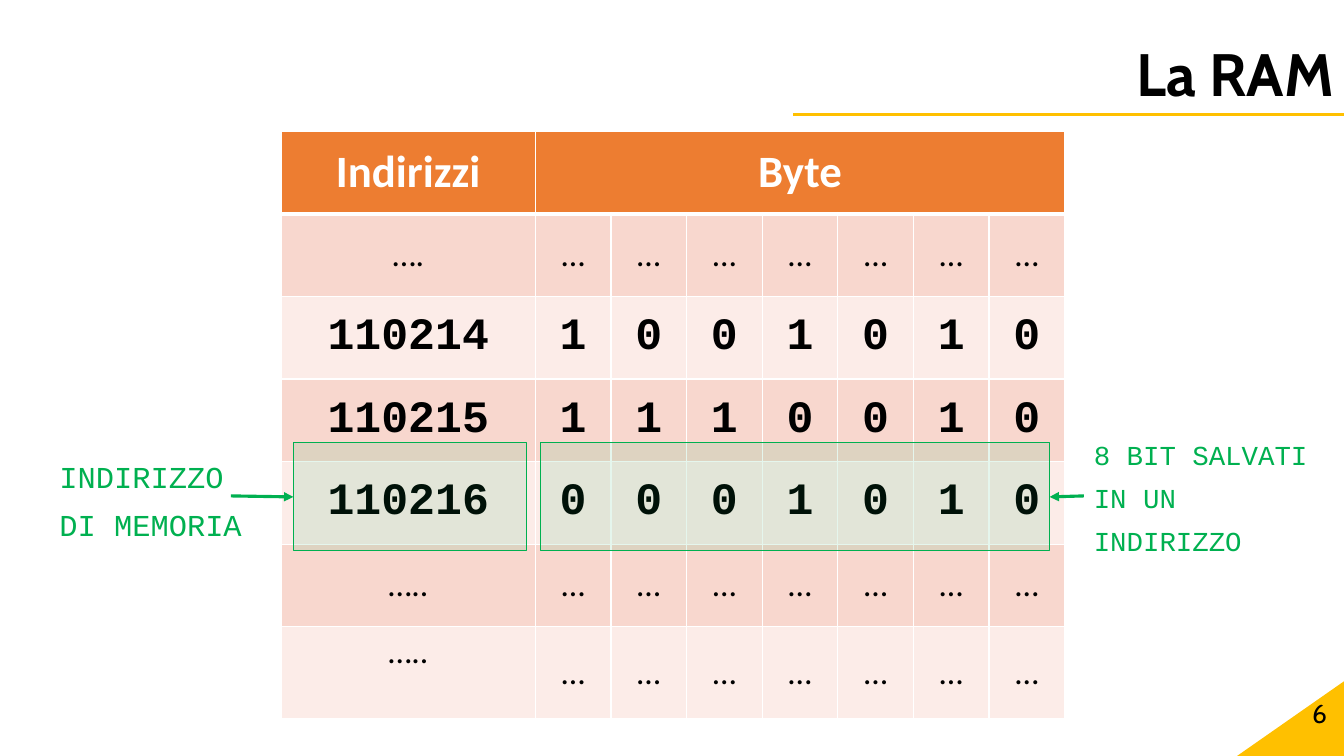
from lxml.etree import SubElement
from pptx import Presentation
from pptx.dml.color import RGBColor
from pptx.enum.shapes import MSO_CONNECTOR as Connector, MSO_SHAPE as Shape
from pptx.enum.text import MSO_ANCHOR as Anchor, PP_ALIGN as Align
from pptx.oxml.ns import qn
from pptx.util import Pt

PX = 9144
GREEN, AMBER, ORANGE = "00B050", "FFC000", "ED7D31"
BLACK, WHITE = "000000", "FFFFFF"
BANDS = ("F8D7CE", "FCECE8")
DOTS = ["…"] * 7
MEMORY = [
    ["….", *DOTS],
    ["110214", *"1001010"],
    ["110215", *"1110010"],
    ["110216", *"0001010"],
    ["…..", *DOTS],
    ["…..", *DOTS],
]


def px(*lengths):
    """Turn whole pixels into EMU."""
    return [length * PX for length in lengths]


def paint(color_format, color):
    """Apply a hex colour to a fill or a font."""
    if hasattr(color_format, "solid"):
        color_format.solid()
        color_format.fore_color.rgb = RGBColor.from_string(color)
    else:
        color_format.color.rgb = RGBColor.from_string(color)


def write(frame, text, size, font="Calibri", color=BLACK, bold=False,
          align=Align.LEFT, spacing=None, before=None):
    """Put one formatted paragraph into a text frame."""
    paragraph = frame.paragraphs[0]
    paragraph.alignment = align
    if spacing:
        paragraph.line_spacing = spacing
    if before:
        paragraph.space_before = Pt(before)
    run = paragraph.add_run()
    run.text = text
    run.font.name, run.font.size, run.font.bold = font, Pt(size), bold
    paint(run.font, color)


def add_text(slide, box, text, size, anchor=Anchor.TOP, **style):
    """Add a wrapping text box."""
    frame = slide.shapes.add_textbox(*px(*box)).text_frame
    frame.word_wrap = True
    frame.vertical_anchor = anchor
    write(frame, text, size, **style)


def add_line(slide, ends, color, arrow=False):
    """Add a straight line, with an arrowhead at its end if asked."""
    line = slide.shapes.add_connector(Connector.STRAIGHT, *px(*ends))
    line.line.width = Pt(2.25)
    paint(line.line.fill, color)
    if arrow:
        SubElement(line.line._get_or_add_ln(), qn("a:tailEnd"), type="triangle")
    SubElement(line._element.spPr, qn("a:effectLst"))


def add_highlight(slide, box):
    """Add a translucent green frame."""
    frame = slide.shapes.add_shape(Shape.RECTANGLE, *px(*box))
    frame.shadow.inherit = False
    paint(frame.fill, GREEN)
    tint = frame._element.spPr.find(qn("a:solidFill"))[0]
    SubElement(tint, qn("a:alpha"), val="10000")
    paint(frame.line.fill, GREEN)
    frame.line.width = Pt(1)


def add_corner(slide, box):
    """Add the amber triangle behind the page number."""
    corner = slide.shapes.add_shape(Shape.RIGHT_TRIANGLE, *px(*box))
    corner.shadow.inherit = False
    paint(corner.fill, AMBER)
    corner.line.fill.background()
    corner._element.spPr.xfrm.set("flipH", "1")


def format_cell(cell, fill, bottom=1):
    """Give a cell white borders and a fill, with centred content."""
    properties = cell._tc.get_or_add_tcPr()
    for side, width in (("L", 1), ("R", 1), ("T", 1), ("B", bottom)):
        border = SubElement(properties, qn(f"a:ln{side}"), w=str(Pt(width)))
        solid = SubElement(border, qn("a:solidFill"))
        SubElement(solid, qn("a:srgbClr"), val=WHITE)
    paint(cell.fill, fill)
    cell.vertical_anchor = Anchor.MIDDLE


def add_memory_table(slide, box):
    """Add the table of addresses and their bits."""
    table = slide.shapes.add_table(len(MEMORY) + 1, 8, *px(*box)).table
    for column, width in zip(table.columns, px(252, *[75] * 7)):
        column.width = width
    for row, height in zip(table.rows, px(*[82] * 6, 91)):
        row.height = height
    for column in range(8):
        format_cell(table.cell(0, column), ORANGE, bottom=3)
    table.cell(0, 1).merge(table.cell(0, 7))
    for column, heading in enumerate(("Indirizzi", "Byte")):
        write(table.cell(0, column).text_frame, heading, 32, color=WHITE,
              bold=True, align=Align.CENTER)
    for row, values in enumerate(MEMORY, 1):
        stored = values[0].isdigit()
        style = {"size": 32, "font": "Courier New", "bold": True} if stored else {"size": 24}
        for column, value in enumerate(values):
            cell = table.cell(row, column)
            format_cell(cell, BANDS[(row - 1) % 2])
            write(cell.text_frame, value, align=Align.CENTER, **style)
    table.cell(len(MEMORY), 0).vertical_anchor = Anchor.TOP


def main():
    """Build and save the slide about RAM."""
    deck = Presentation()
    deck.slide_width, deck.slide_height = px(1333, 750)
    slide = deck.slides.add_slide(deck.slide_layouts[6])
    add_corner(slide, (1227, 676, 106, 74))
    add_line(slide, (787, 114, 1333, 114), AMBER)
    add_text(slide, (0, 40, 1333, 74), "La RAM", 42.7, anchor=Anchor.MIDDLE,
             font="Cabin", bold=True, align=Align.RIGHT, spacing=0.9)
    add_text(slide, (1026, 687, 300, 40), "6", 18.7, anchor=Anchor.MIDDLE,
             font="Cabin", align=Align.RIGHT)
    add_memory_table(slide, (279, 130, 777, 583))
    for left, width in ((291, 231), (536, 505)):
        add_highlight(slide, (left, 439, width, 107))
    label = {"font": "Courier New", "color": GREEN, "spacing": 1.3, "before": 10}
    add_text(slide, (49, 439, 216, 107), "INDIRIZZO DI MEMORIA", 21.7,
             align=Align.JUSTIFY, **label)
    add_text(slide, (1075, 420, 258, 146), "8 BIT SALVATI IN UN INDIRIZZO", 19.6, **label)
    for start, end in ((229, 291), (1075, 1041)):
        add_line(slide, (start, 492, end, 493), GREEN, arrow=True)
    deck.save("out.pptx")


if __name__ == "__main__":
    main()
